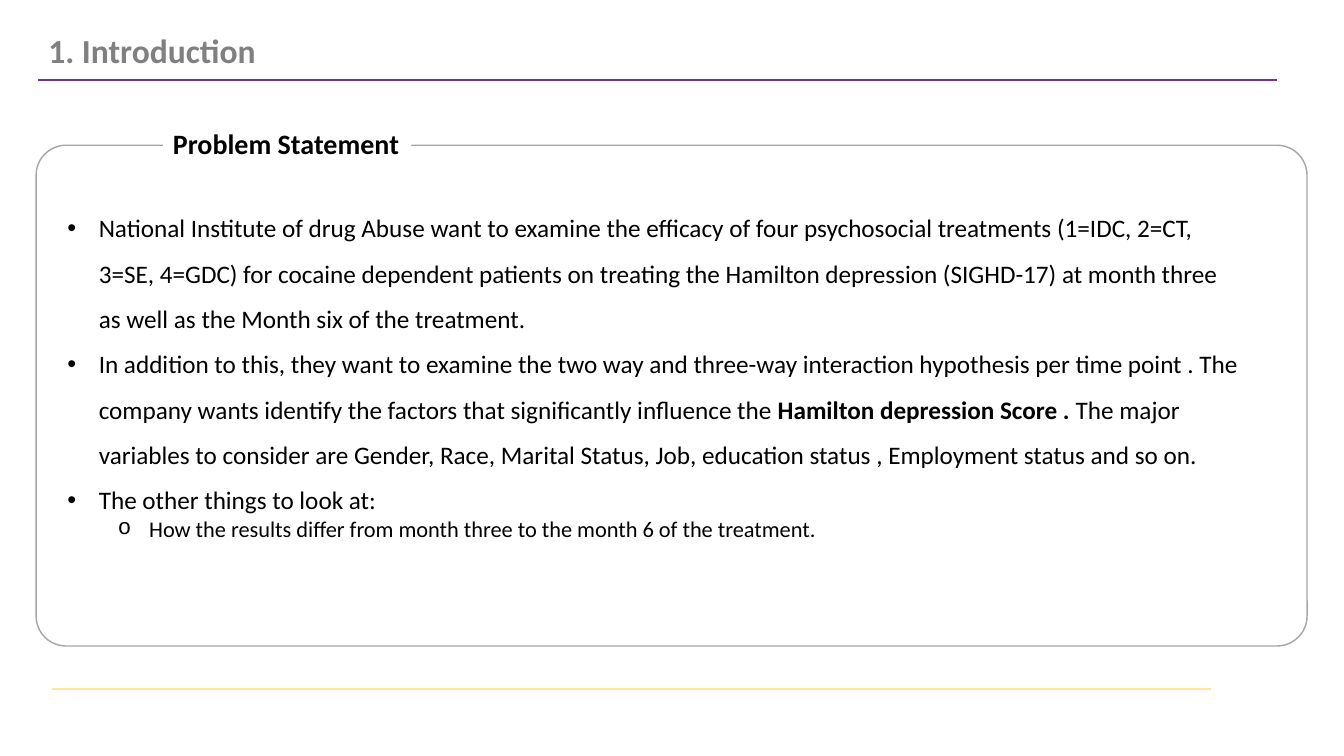
from dataclasses import dataclass

from lxml import etree
from pptx import Presentation, util as u
from pptx.dml.color import RGBColor
from pptx.enum import shapes, text
from pptx.oxml import ns


@dataclass(frozen=True)
class Theme:
    font: str = "Calibri"
    paper: RGBColor = RGBColor(0xFF, 0xFF, 0xFF)
    ink: RGBColor = RGBColor(0, 0, 0)
    heading: RGBColor = RGBColor(0x80, 0x80, 0x80)
    frame: RGBColor = RGBColor(0xA5, 0xA5, 0xA5)
    top_rule: RGBColor = RGBColor(0x70, 0x30, 0xA0)
    bottom_rule: RGBColor = RGBColor(0xFF, 0xE6, 0x99)
    heading_size: int = 24
    label_size: int = 20
    body_size: int = 18
    detail_size: int = 16


theme = Theme()


def add_span(para, words, size, color, bold=False):
    span = para.add_run()
    span.text = words
    span.font.name = theme.font
    span.font.size = u.Pt(size)
    span.font.color.rgb = color
    span.font.bold = bold


def add_bullet(para, mark, typeface, left):
    """Give the paragraph a hanging bullet whose text starts at left."""
    props = para._p.get_or_add_pPr()
    props.set("marL", str(left))
    props.set("indent", str(-u.Cm(0.79)))
    etree.SubElement(props, ns.qn("a:buFont"), typeface=typeface)
    etree.SubElement(props, ns.qn("a:buChar"), char=mark)


deck = Presentation()
deck.slide_width, deck.slide_height = u.Cm(33.87), u.Cm(19.05)
page = deck.slides.add_slide(deck.slide_layouts[6])

# Frame around the statement
frame = page.shapes.add_shape(
    shapes.MSO_SHAPE.ROUNDED_RECTANGLE, u.Cm(0.91), u.Cm(3.66), u.Cm(32.03), u.Cm(12.62))
frame.adjustments[0] = 0.06
frame.shadow.inherit = False
frame.fill.solid()
frame.fill.fore_color.rgb = theme.paper
frame.line.color.rgb = theme.frame
frame.line.width = u.Pt(1)

# Rules under the heading and at the foot
for left, right, top, color in [
    (0.97, 32.18, 2.01, theme.top_rule),
    (1.32, 30.53, 17.37, theme.bottom_rule),
]:
    rule = page.shapes.add_connector(
        shapes.MSO_CONNECTOR.STRAIGHT, u.Cm(left), u.Cm(top), u.Cm(right), u.Cm(top))
    rule.line.color.rgb = color
    rule.line.width = u.Pt(1.5)
    etree.SubElement(rule._element.spPr, ns.qn("a:effectLst"))

# Heading
heading = page.shapes.add_textbox(u.Cm(0.97), u.Cm(0.64), u.Cm(5.79), u.Cm(1.27))
heading.text_frame.word_wrap = False
heading.text_frame.auto_size = text.MSO_AUTO_SIZE.SHAPE_TO_FIT_TEXT
add_span(heading.text_frame.paragraphs[0], "1. Introduction",
         theme.heading_size, theme.heading, True)

# Statement: bullet points of (words, bold) spans, then one detail
points = [
    [("National Institute of drug Abuse want to examine the efficacy of four psychosocial "
      "treatments (1=IDC, 2=CT, 3=SE, 4=GDC) for cocaine dependent patients on treating the "
      "Hamilton depression (SIGHD-17) at month three as well as the Month six of the "
      "treatment.", False)],
    [("In addition to this, they want to examine the two way and three-way interaction "
      "hypothesis per time point . The company wants identify the factors that "
      "significantly influence the ", False),
     ("Hamilton depression Score . ", True),
     ("The major variables to consider are Gender, Race, Marital Status, Job, education "
      "status , Employment status and so on.", False)],
    [("The other things to look at:", False)],
]
statement = page.shapes.add_textbox(u.Cm(1.45), u.Cm(4.85), u.Cm(30.15), u.Cm(9.02))
body = statement.text_frame
body.word_wrap = True
body.auto_size = text.MSO_AUTO_SIZE.SHAPE_TO_FIT_TEXT
for index, spans in enumerate(points):
    para = body.add_paragraph() if index else body.paragraphs[0]
    add_bullet(para, "•", "Arial", u.Cm(0.79))
    para.line_spacing = 1.5
    for words, bold in spans:
        add_span(para, words, theme.body_size, theme.ink, bold)

detail = body.add_paragraph()
detail.level = 1
add_bullet(detail, "o", "Courier New", u.Cm(2.06))
add_span(detail, "How the results differ from month three to the month 6 of the treatment.",
         theme.detail_size, theme.ink)

# Label set into the top edge of the frame
label = page.shapes.add_textbox(u.Cm(4.11), u.Cm(3.07), u.Cm(6.25), u.Cm(1.12))
label.fill.solid()
label.fill.fore_color.rgb = theme.paper
label.text_frame.word_wrap = False
label.text_frame.auto_size = text.MSO_AUTO_SIZE.SHAPE_TO_FIT_TEXT
add_span(label.text_frame.paragraphs[0], "Problem Statement",
         theme.label_size, theme.ink, True)

deck.save("out.pptx")
